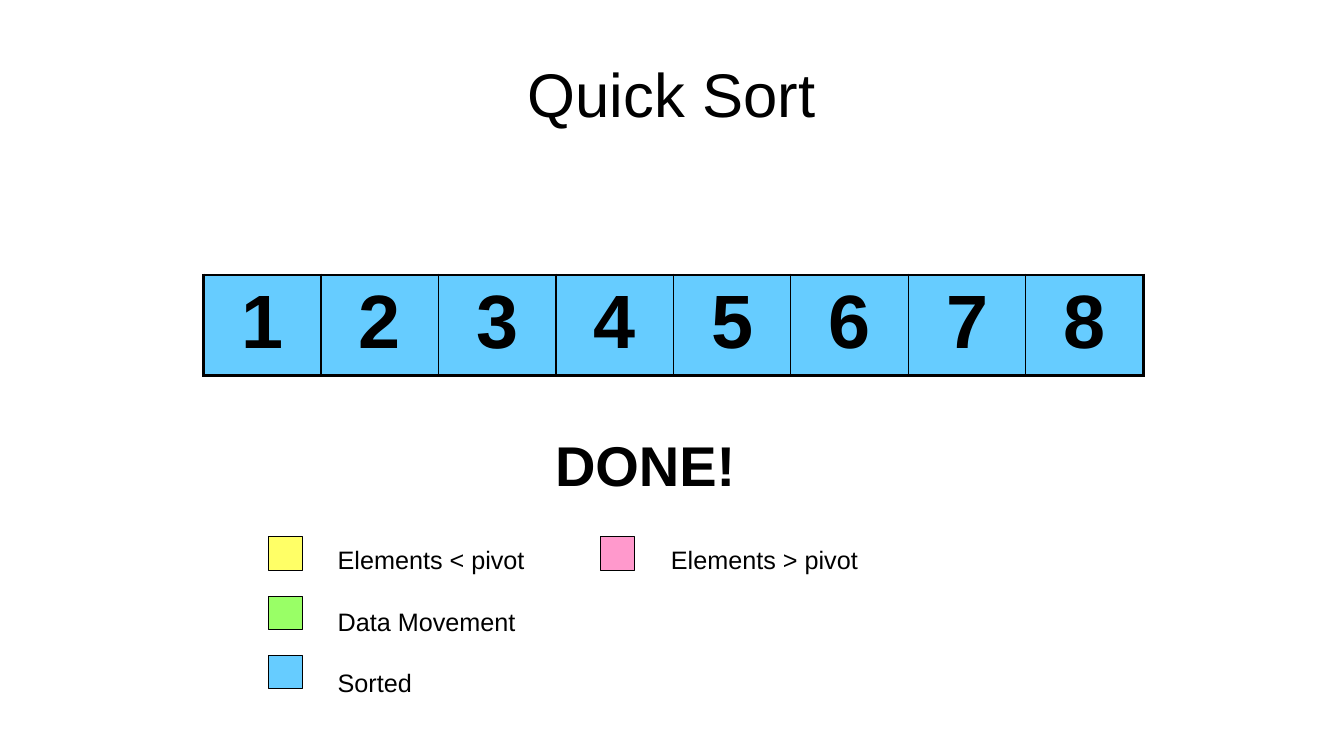
from dataclasses import dataclass

from lxml import etree
from pptx import Presentation
from pptx.dml.color import RGBColor
from pptx.enum.shapes import MSO_SHAPE
from pptx.enum.text import MSO_ANCHOR, PP_ALIGN
from pptx.oxml.ns import qn
from pptx.util import Cm, Pt

RECTANGLE = MSO_SHAPE.RECTANGLE
LEFT, CENTER = PP_ALIGN.LEFT, PP_ALIGN.CENTER
TOP, MIDDLE = MSO_ANCHOR.TOP, MSO_ANCHOR.MIDDLE
BLANK_LAYOUT = 6


@dataclass(frozen=True)
class Theme:
    font: str = "Arial"
    ink: str = "000000"
    smaller: str = "FFFF66"
    larger: str = "FF99CC"
    moving: str = "99FF66"
    sorted: str = "66CCFF"
    title_size: float = 44
    number_size: float = 54
    done_size: float = 40
    legend_size: float = 18
    outer_border: float = 2.25
    inner_border: float = 1
    swatch_border: float = 0.75


THEME = Theme()


def add_run(paragraph, text, size, bold=False):
    run = paragraph.add_run()
    run.text = text
    run.font.name = THEME.font
    run.font.size = Pt(size)
    run.font.bold = bold
    run.font.color.rgb = RGBColor.from_string(THEME.ink)


def add_text(slide, left, top, width, height, lines, size, bold=False,
             align=LEFT, anchor=TOP, wrap=True, gap=0):
    """Add a text box with one paragraph per line, gap points apart."""
    box = slide.shapes.add_textbox(Cm(left), Cm(top), Cm(width), Cm(height))
    frame = box.text_frame
    frame.word_wrap = wrap
    frame.vertical_anchor = anchor
    for index, line in enumerate(lines):
        paragraph = frame.add_paragraph() if index else frame.paragraphs[0]
        paragraph.alignment = align
        if index and gap:
            paragraph.space_before = Pt(gap)
        add_run(paragraph, line, size, bold)
    return box


def set_tab_stop(paragraph, position):
    tabs = etree.SubElement(paragraph._p.get_or_add_pPr(), qn("a:tabLst"))
    etree.SubElement(tabs, qn("a:tab"), pos=str(Cm(position)), algn="l")


def set_cell_borders(cell, widths):
    """Draw solid borders; widths maps L, R, T and B to points."""
    properties = cell._tc.get_or_add_tcPr()
    for index, (side, width) in enumerate(widths.items()):
        line = etree.Element(qn(f"a:ln{side}"), w=str(Pt(width)))
        fill = etree.SubElement(line, qn("a:solidFill"))
        etree.SubElement(fill, qn("a:srgbClr"), val=THEME.ink)
        properties.insert(index, line)


def add_array(slide, left, top, cell_width, cell_height, numbers):
    """Add a one-row table with a heavy frame and thin dividers."""
    count = len(numbers)
    table = slide.shapes.add_table(
        1, count, Cm(left), Cm(top), Cm(cell_width * count), Cm(cell_height)
    ).table
    table.first_row = table.horz_banding = False
    outer, inner = THEME.outer_border, THEME.inner_border
    for index, number in enumerate(numbers):
        table.columns[index].width = Cm(cell_width)
        cell = table.cell(0, index)
        cell.fill.solid()
        cell.fill.fore_color.rgb = RGBColor.from_string(THEME.sorted)
        set_cell_borders(cell, {
            "L": outer if index == 0 else inner,
            "R": outer if index == count - 1 else inner,
            "T": outer,
            "B": outer,
        })
        paragraph = cell.text_frame.paragraphs[0]
        paragraph.alignment = CENTER
        add_run(paragraph, str(number), THEME.number_size, bold=True)


def add_swatch(slide, left, top, color):
    side = Cm(0.85)
    shape = slide.shapes.add_shape(RECTANGLE, Cm(left), Cm(top), side, side)
    shape.shadow.inherit = False
    shape.fill.solid()
    shape.fill.fore_color.rgb = RGBColor.from_string(color)
    shape.line.color.rgb = RGBColor.from_string(THEME.ink)
    shape.line.width = Pt(THEME.swatch_border)


def add_legend(slide):
    first_column, second_column, top, pitch = 6.77, 15.14, 13.53, 1.49
    for row, color in enumerate((THEME.smaller, THEME.moving, THEME.sorted)):
        add_swatch(slide, first_column, top + row * pitch, color)
    add_swatch(slide, second_column, top, THEME.larger)

    labels = ["Elements < pivot\tElements > pivot", "Data Movement", "Sorted"]
    box = add_text(slide, 8.26, 13.59, 15.47, 4.06, labels,
                   THEME.legend_size, gap=22.5)
    set_tab_stop(box.text_frame.paragraphs[0], 8.4)


def main():
    presentation = Presentation()
    presentation.slide_width = Cm(33.87)
    presentation.slide_height = Cm(19.05)
    slide = presentation.slides.add_slide(
        presentation.slide_layouts[BLANK_LAYOUT])

    # Title
    add_text(slide, 1.69, 0.76, 30.48, 3.18, ["Quick Sort"],
             THEME.title_size, align=CENTER, anchor=MIDDLE)

    # Sorted array
    add_array(slide, 5.13, 6.93, 2.96, 2.49, range(1, 9))

    # Colour legend
    add_legend(slide)

    # Result
    add_text(slide, 13.74, 10.72, 5.05, 1.96, ["DONE!"],
             THEME.done_size, bold=True, wrap=False)

    presentation.save("out.pptx")


if __name__ == "__main__":
    main()
